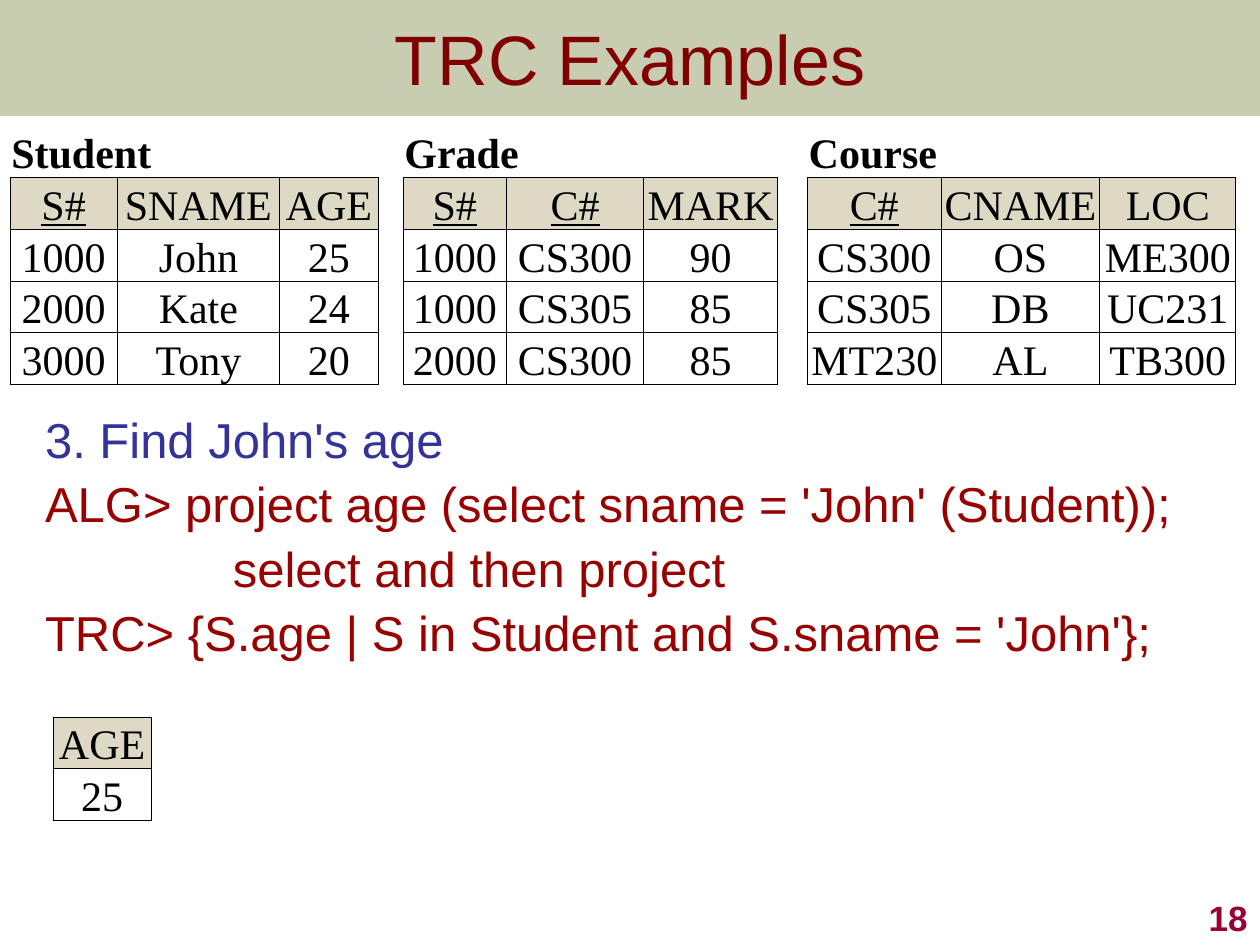
from lxml.etree import SubElement
from pptx import Presentation
from pptx.dml.color import RGBColor
from pptx.enum.shapes import MSO_SHAPE
from pptx.enum.text import MSO_ANCHOR, PP_ALIGN
from pptx.oxml.ns import qn
from pptx.util import Inches, Pt

BLACK = RGBColor(0x00, 0x00, 0x00)
WHITE = RGBColor(0xFF, 0xFF, 0xFF)
OLIVE = RGBColor(0x67, 0x72, 0x28)
SAND = RGBColor(0xDD, 0xD9, 0xC4)
MAROON = RGBColor(0x80, 0x00, 0x00)
RED = RGBColor(0x99, 0x00, 0x00)
BLUE = RGBColor(0x33, 0x33, 0x99)
CRIMSON = RGBColor(0x99, 0x00, 0x33)

SANS, SERIF = "Arial", "Times New Roman"
NO_STYLE = "{2D5ABB26-0587-4C30-8999-92F81FD0307C}"
ROW_HEIGHT = 0.38
BAND_HEIGHT = 0.92

TITLE = "TRC Examples"
PAGE_NUMBER = "18"

# name, column widths, header, rows
RELATIONS = [
    ("Student", (0.85, 1.29, 0.78), ("S#", "SNAME", "AGE"),
     [("1000", "John", "25"), ("2000", "Kate", "24"), ("3000", "Tony", "20")]),
    ("Grade", (0.82, 1.09, 1.06), ("S#", "C#", "MARK"),
     [("1000", "CS300", "90"), ("1000", "CS305", "85"), ("2000", "CS300", "85")]),
    ("Course", (1.06, 1.26, 1.08), ("C#", "CNAME", "LOC"),
     [("CS300", "OS", "ME300"), ("CS305", "DB", "UC231"), ("MT230", "AL", "TB300")]),
]
GAPS = (0.20, 0.24)
KEYS = {("Student", "S#"), ("Grade", "S#"), ("Grade", "C#"), ("Course", "C#")}

# text, colour, left margin, first-line indent
QUERY = [
    ("3. Find John's age", BLUE, 0.38, -0.38),
    ("ALG> project age (select sname = 'John' (Student));", RED, 0.38, -0.38),
    ("select and then project", RED, 1.49, 0),
    ("TRC> {S.age | S in Student and S.sname = 'John'};", RED, 0.38, -0.38),
]
ANSWER = ("AGE", "25")


def write(paragraph, text, size=24, font=SERIF, color=BLACK, bold=False,
          underline=False, align=PP_ALIGN.CENTER):
    """Put one formatted run into a paragraph."""
    paragraph.alignment = align
    run = paragraph.add_run()
    run.text = text
    run.font.size, run.font.name = Pt(size), font
    run.font.bold, run.font.underline = bold, underline
    run.font.color.rgb = color


def add_box(slide, left, top, width, height, anchor=MSO_ANCHOR.TOP):
    """Add a wrapping text box and return its text frame."""
    frame = slide.shapes.add_textbox(
        Inches(left), Inches(top), Inches(width), Inches(height)).text_frame
    frame.word_wrap = True
    frame.vertical_anchor = anchor
    return frame


def add_plain_table(slide, left, top, widths, row_count):
    """Add an unstyled white table with tight cell margins."""
    table = slide.shapes.add_table(
        row_count, len(widths), Inches(left), Inches(top),
        Inches(sum(widths)), Inches(ROW_HEIGHT * row_count)).table
    table.first_row = table.horz_banding = False
    next(table._tbl.iter(qn("a:tableStyleId"))).text = NO_STYLE
    for column, width in zip(table.columns, widths):
        column.width = Inches(width)
    for cell in table.iter_cells():
        cell.margin_left = cell.margin_right = cell.margin_top = Inches(0.01)
        cell.margin_bottom = 0
        cell.vertical_anchor = MSO_ANCHOR.BOTTOM
        cell.fill.solid()
        cell.fill.fore_color.rgb = WHITE
    return table


def add_borders(cell):
    """Draw a thin black line on all four sides of a cell."""
    properties = cell._tc.get_or_add_tcPr()
    for position, side in enumerate(("lnL", "lnR", "lnT", "lnB")):
        line = SubElement(properties, qn("a:" + side), w=str(Pt(0.5)))
        fill = SubElement(line, qn("a:solidFill"))
        SubElement(fill, qn("a:srgbClr"), val=str(BLACK))
        properties.insert(position, line)


def fill_grid(table, first_row, first_column, rows, keys=()):
    """Write a header and its rows into bordered cells."""
    for r, row in enumerate(rows):
        for c, value in enumerate(row):
            cell = table.cell(first_row + r, first_column + c)
            if r == 0:
                cell.fill.fore_color.rgb = SAND
            write(cell.text_frame.paragraphs[0], value,
                  underline=r == 0 and value in keys)
            add_borders(cell)


def add_band(slide):
    """Add the translucent band behind the title."""
    band = slide.shapes.add_shape(
        MSO_SHAPE.RECTANGLE, 0, 0, Inches(10), Inches(BAND_HEIGHT))
    band.shadow.inherit = False
    band.line.fill.background()
    band.fill.solid()
    band.fill.fore_color.rgb = OLIVE
    color = next(band._element.spPr.iter(qn("a:srgbClr")))
    SubElement(color, qn("a:alpha"), val="36000")


def add_query(slide):
    """Add the question and its two query forms."""
    frame = add_box(slide, 0.26, 3.25, 9.45, 2.67)
    frame.margin_right = 0
    for i, (text, color, margin, indent) in enumerate(QUERY):
        paragraph = frame.add_paragraph() if i else frame.paragraphs[0]
        paragraph.line_spacing = 0.9
        paragraph.space_before = Pt(6.7)
        properties = paragraph._p.get_or_add_pPr()
        properties.set("marL", str(Inches(margin)))
        properties.set("indent", str(Inches(indent)))
        write(paragraph, text, size=28, font=SANS, color=color, align=PP_ALIGN.LEFT)


def add_relations(slide):
    """Add the three relations side by side in one table."""
    widths = []
    for i, (_, columns, _, _) in enumerate(RELATIONS):
        widths += [*GAPS[i - 1:i], *columns]
    table = add_plain_table(slide, 0.08, 1, widths, 5)
    start = 0
    for name, columns, header, rows in RELATIONS:
        caption = table.cell(0, start)
        caption.merge(table.cell(0, start + len(columns) - 1))
        write(caption.text_frame.paragraphs[0], name, bold=True, align=PP_ALIGN.LEFT)
        keys = [field for field in header if (name, field) in KEYS]
        fill_grid(table, 1, start, [header, *rows], keys)
        start += len(columns) + 1


presentation = Presentation()
presentation.slide_width, presentation.slide_height = Inches(10), Inches(7.5)
slide = presentation.slides.add_slide(presentation.slide_layouts[6])

add_band(slide)
add_query(slide)
title = add_box(slide, 0, 0, 10, BAND_HEIGHT, MSO_ANCHOR.MIDDLE)
write(title.paragraphs[0], TITLE, size=40, font=SANS, color=MAROON)
page = add_box(slide, 7.92, 7, 2.08, 0.5, MSO_ANCHOR.BOTTOM)
write(page.paragraphs[0], PAGE_NUMBER, size=20, font=SANS, color=CRIMSON,
      bold=True, align=PP_ALIGN.RIGHT)
add_relations(slide)
answer = add_plain_table(slide, 0.42, 5.69, (0.78,), len(ANSWER))
fill_grid(answer, 0, 0, [(value,) for value in ANSWER])

presentation.save("out.pptx")
